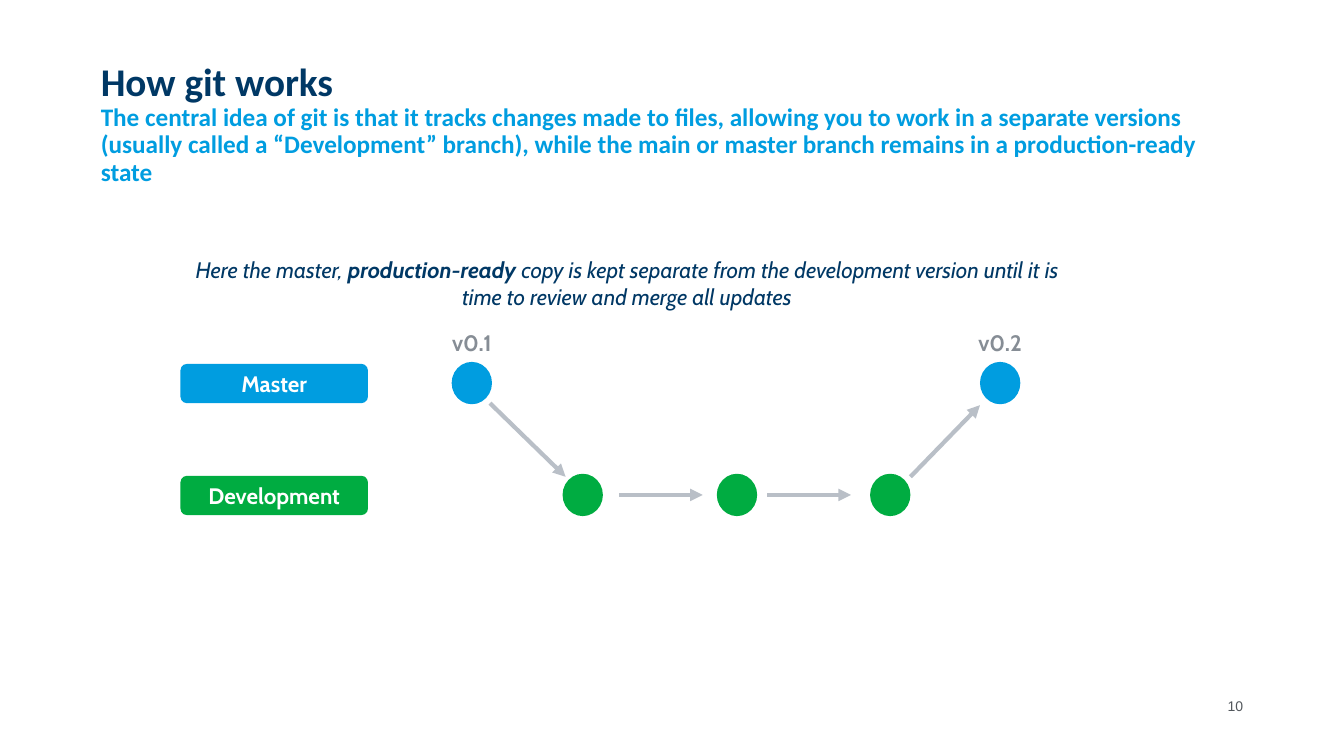
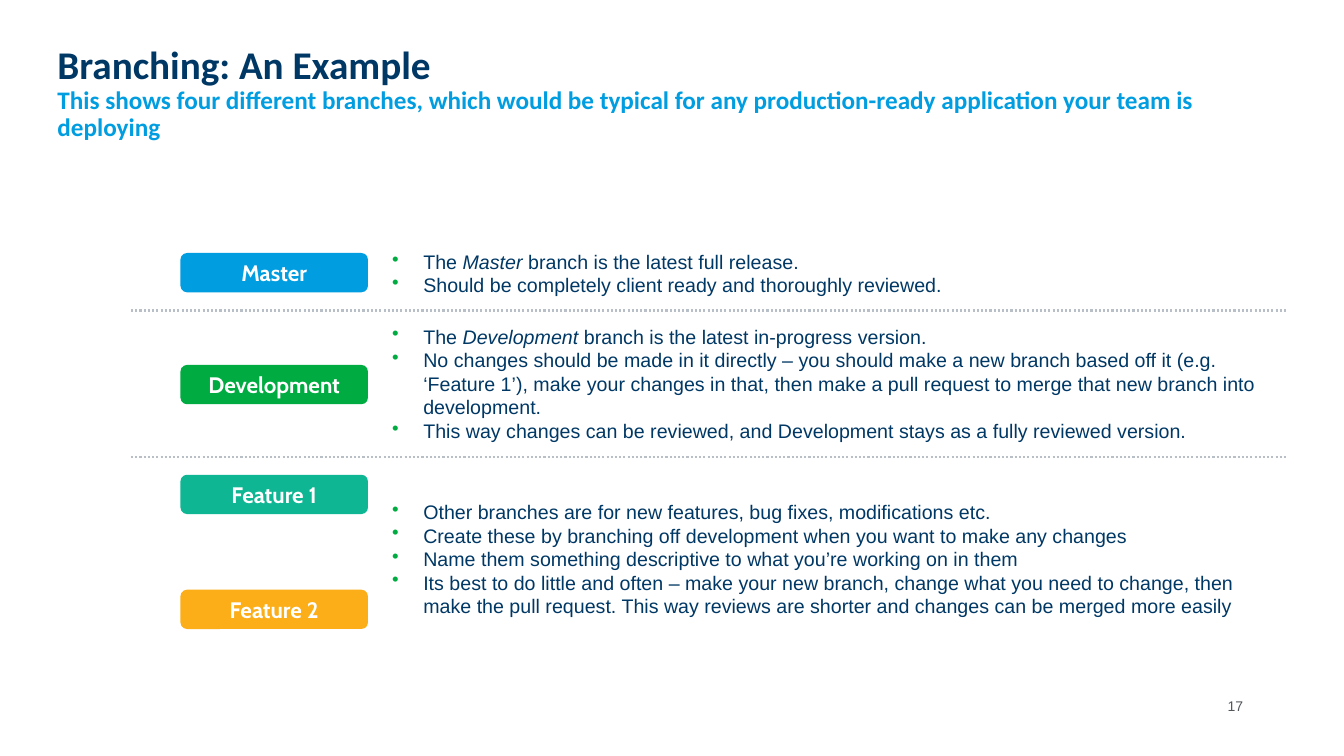
import pptx
import pptx.util
import pptx.dml.color
import pptx.enum.dml
import pptx.enum.shapes
import pptx.enum.text
import pptx.oxml.xmlchemy

RGB = pptx.dml.color.RGBColor
SHAPE = pptx.enum.shapes.MSO_SHAPE
ALIGN = pptx.enum.text.PP_ALIGN
ANCHOR = pptx.enum.text.MSO_ANCHOR

NAVY = RGB(0x00, 0x38, 0x65)
BLUE = RGB(0x00, 0x9D, 0xE0)
GREEN = RGB(0x00, 0xAC, 0x41)
TEAL = RGB(0x0F, 0xB6, 0x94)
AMBER = RGB(0xFB, 0xAE, 0x17)
SILVER = RGB(0xB9, 0xBF, 0xC7)
GREY = RGB(0x86, 0x8D, 0x95)
SLATE = RGB(0x52, 0x57, 0x5C)
WHITE = RGB(0xFF, 0xFF, 0xFF)

HEAD, BODY, LABEL = "Calibri", "Arial", "Cabin"
PAD = 8
PILL = (186, 39)
DOT = (40, 42)


def px(n):
    """Turn px (100 to the inch) into EMU."""
    return pptx.util.Emu(n * 9144)


def node(tag, **attrs):
    """Make an XML element with the given attributes."""
    item = pptx.oxml.xmlchemy.OxmlElement(tag)
    for name, value in attrs.items():
        item.set(name, value)
    return item


def write(par, runs, font, size, color):
    """Add (text, style) runs; style may hold b for bold and i for italic."""
    for text, style in runs:
        run = par.add_run()
        run.text = text
        face = run.font
        face.name, face.size = font, pptx.util.Pt(size)
        face.bold, face.italic = "b" in style, "i" in style
        face.color.rgb = color


def pad(frame, side, end):
    frame.word_wrap = True
    frame.margin_left = frame.margin_right = px(side)
    frame.margin_top = frame.margin_bottom = px(end)


def text_box(slide, box, side=0, end=0):
    frame = slide.shapes.add_textbox(*map(px, box)).text_frame
    pad(frame, side, end)
    return frame


def solid(slide, kind, box, color):
    shape = slide.shapes.add_shape(kind, *map(px, box))
    shape.shadow.inherit = False
    shape.fill.solid()
    shape.fill.fore_color.rgb = color
    shape.line.fill.background()
    return shape


def line(slide, ends, width):
    """Draw a plain silver line and return its connector."""
    link = slide.shapes.add_connector(
        pptx.enum.shapes.MSO_CONNECTOR.STRAIGHT, *map(px, ends))
    link.line.color.rgb = SILVER
    link.line.width = pptx.util.Pt(width)
    link._element.spPr.append(node("a:effectLst"))
    return link


def arrow(slide, ends):
    link = line(slide, ends, 3)
    link.line._get_or_add_ln().append(node("a:tailEnd", type="triangle"))


def rule(slide, left, top, width):
    link = line(slide, (left, top, left + width, top), 1.5)
    link.line.dash_style = pptx.enum.dml.MSO_LINE.ROUND_DOT


def pill(slide, left, top, name, color):
    """Draw the rounded tag of a branch."""
    shape = solid(slide, SHAPE.ROUNDED_RECTANGLE, (left, top, *PILL), color)
    frame = shape.text_frame
    pad(frame, PAD, PAD)
    frame.vertical_anchor = ANCHOR.MIDDLE
    par = frame.paragraphs[0]
    par.alignment = ALIGN.CENTER
    write(par, [(name, "b")], LABEL, 16, WHITE)


def caption(slide, box, runs, color):
    par = text_box(slide, box, PAD, PAD).paragraphs[0]
    par.alignment = ALIGN.CENTER
    write(par, runs, LABEL, 16, color)


def bullets(slide, box, items):
    frame = text_box(slide, box, 10, 5)
    for i, runs in enumerate(items):
        par = frame.add_paragraph() if i else frame.paragraphs[0]
        props = par._p.get_or_add_pPr()
        props.set("marL", str(px(31)))
        props.set("indent", str(px(-31)))
        tint = node("a:buClr")
        tint.append(node("a:srgbClr", val=str(GREEN)))
        props.extend([tint, node("a:buChar", char="•")])
        write(par, runs, BODY, 14, NAVY)


def base(deck, box, title, lead, number):
    """Add a slide with its title, lead line and page number."""
    slide = deck.slides.add_slide(deck.slide_layouts[6])
    par = text_box(slide, box).paragraphs[0]
    par.line_spacing = 0.9
    write(par, [(title, "b")], HEAD, 28, NAVY)
    par.add_line_break()
    write(par, [(lead, "b")], HEAD, 18, BLUE)
    par = text_box(slide, (1158, 692, 75, 30)).paragraphs[0]
    par.alignment = ALIGN.RIGHT
    write(par, [(str(number), "")], BODY, 10, SLATE)
    return slide


def flow(slide, box):
    """Draw two branch rows, with commits passing from one to the other."""
    left, top, width, _ = box
    caption(slide, (left, top, width, 70), [
        ("Here the master, ", "i"),
        ("production-ready", "bi"),
        (" copy is kept separate from the development version until it is "
         "time to review and merge all updates", "i"),
    ], NAVY)
    rows = [
        ("Master", BLUE, 113, (269, 793)),
        ("Development", GREEN, 224, (379, 532, 684)),
    ]
    for name, color, down, dots in rows:
        pill(slide, left, top + down + 2, name, color)
        for x in dots:
            solid(slide, SHAPE.OVAL, (left + x, top + down, *DOT), color)
    for name, x in zip(("v0.1", "v0.2"), rows[0][3]):
        caption(slide, (left + x - 18, top + 73, 76, 43),
                [(name, "b")], GREY)
    for x1, y1, x2, y2 in ((307, 154, 382, 227), (435, 245, 518, 245),
                           (582, 245, 665, 245), (724, 227, 793, 156)):
        arrow(slide, (left + x1, top + y1, left + x2, top + y2))


def guide(slide, box, rows):
    """Stack rows of branch tags and notes, split by dotted rules."""
    left, top, width, _ = box
    for tags, (down, height), items, split in rows:
        for name, color, y in tags:
            pill(slide, left + 49, top + y, name, color)
        bullets(slide, (left + 249, top + down, width - 249, height), items)
        if split:
            rule(slide, left, top + split, width)


def works(deck):
    slide = base(
        deck, (100, 62, 1133, 104), "How git works",
        "The central idea of git is that it tracks changes made to files, "
        "allowing you to work in a separate versions (usually called a "
        "“Development” branch), while the main or master branch remains in "
        "a production-ready state", 10)
    flow(slide, (179, 246, 886, 266))


def sample(deck):
    slide = base(
        deck, (57, 45, 1220, 76), "Branching: An Example",
        "This shows four different branches, which would be typical for any "
        "production-ready application your team is deploying", 17)
    master = [
        [("The ", ""), ("Master ", "i"),
         ("branch is the latest full release.", "")],
        [("Should be completely client ready and thoroughly reviewed.", "")],
    ]
    develop = [
        [("The ", ""), ("Development ", "i"),
         ("branch is the latest in-progress version.", "")],
        [("No changes should be made in it directly – you should make a new "
          "branch based off it (e.g. ‘Feature 1’), make your changes in "
          "that, then make a pull request to merge that new branch into "
          "development.", "")],
        [("This way changes can be reviewed, and Development stays as a "
          "fully reviewed version.", "")],
    ]
    other = [
        [("Other branches are for new features, bug fixes, modifications "
          "etc.", "")],
        [("Create these by branching off development when you want to make "
          "any changes", "")],
        [("Name them something descriptive to what you’re working on in "
          "them", "")],
        [("Its best to do little and often – make your new branch, change "
          "what you need to change, then make the pull request. This way "
          "reviews are shorter and changes can be merged more easily", "")],
    ]
    guide(slide, (130, 243, 1147, 381), [
        ([("Master", BLUE, 8)], (0, 57), master, 65),
        ([("Development", GREEN, 119)], (74, 128), develop, 210),
        ([("Feature 1", TEAL, 228), ("Feature 2", AMBER, 342)],
         (248, 128), other, None),
    ])


def main():
    deck = pptx.Presentation()
    deck.slide_width, deck.slide_height = px(1333), px(750)
    works(deck)
    sample(deck)
    deck.save("out.pptx")


if __name__ == "__main__":
    main()
